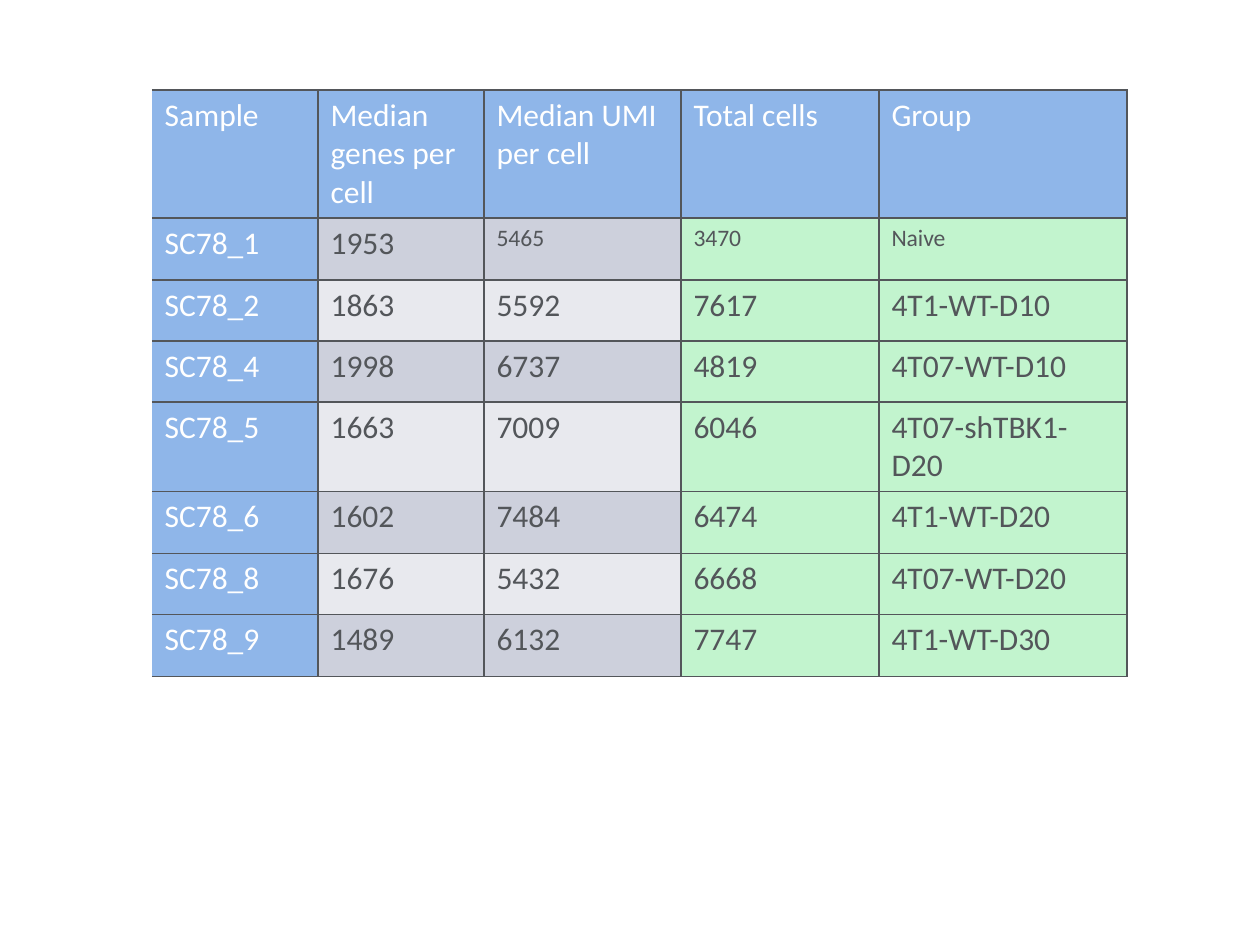
from lxml import etree
from pptx import Presentation
from pptx import util as u
from pptx.dml.color import RGBColor
from pptx.oxml import ns

COLORS = {
    "blue": "8FB6E9",
    "green": "C2F4CE",
    "dark_band": "CDD0DC",
    "light_band": "E8E9EE",
    "ink": "53565A",
    "white": "FFFFFF",
}
SAMPLES = [
    ("Sample", "Median genes per cell", "Median UMI per cell", "Total cells", "Group"),
    ("SC78_1", "1953", "5465", "3470", "Naive"),
    ("SC78_2", "1863", "5592", "7617", "4T1-WT-D10"),
    ("SC78_4", "1998", "6737", "4819", "4T07-WT-D10"),
    ("SC78_5", "1663", "7009", "6046", "4T07-shTBK1-D20"),
    ("SC78_6", "1602", "7484", "6474", "4T1-WT-D20"),
    ("SC78_8", "1676", "5432", "6668", "4T07-WT-D20"),
    ("SC78_9", "1489", "6132", "7747", "4T1-WT-D30"),
]
COLUMN_WIDTHS = [166, 166, 197, 198, 248]
ROW_HEIGHTS = [128, 62, 61, 61, 89, 62, 61, 62]


def px(length):
    return u.Emu(round(length * 914400 / 126))


class SlideBuilder:
    """Hold the style and the current slide, and draw its elements."""

    def __init__(self, deck, font="Calibri", size=18, small=13.5):
        self.font, self.size, self.small = font, size, small
        self.slide = deck.slides.add_slide(deck.slide_layouts[6])

    def border(self, cell, side, visible):
        props = cell._tc.get_or_add_tcPr()
        line = etree.SubElement(props, ns.qn(f"a:ln{side}"), w=str(u.Pt(1)))
        if visible:
            fill = etree.SubElement(line, ns.qn("a:solidFill"))
            etree.SubElement(fill, ns.qn("a:srgbClr"), val=COLORS["ink"])
        else:
            etree.SubElement(line, ns.qn("a:noFill"))

    def cell(self, cell, words, fill, color, size):
        for side in "LRTB":
            self.border(cell, side, side != "L" or cell._tc.col_idx > 0)
        cell.fill.solid()
        cell.fill.fore_color.rgb = RGBColor.from_string(COLORS[fill])
        cell.text_frame.text = words
        span = cell.text_frame.paragraphs[0].runs[0]
        span.font.name = self.font
        span.font.size = u.Pt(size)
        span.font.color.rgb = RGBColor.from_string(COLORS[color])

    def table(self, left, top, widths, heights, rows):
        frame = self.slide.shapes.add_table(
            len(rows), len(widths), px(left), px(top), px(sum(widths)), px(sum(heights))
        )
        table = frame.table
        table.first_row = table.horz_banding = False
        for column, width in zip(table.columns, widths):
            column.width = px(width)
        for row, height in zip(table.rows, heights):
            row.height = px(height)
        for r, row in enumerate(rows):
            band = "dark_band" if r % 2 else "light_band"
            for c, words in enumerate(row):
                heading = r == 0 or c == 0
                fill = "blue" if heading else "green" if c >= 3 else band
                color = "white" if heading else "ink"
                size = self.small if r == 1 and c >= 2 else self.size
                self.cell(table.cell(r, c), words, fill, color, size)


def main():
    deck = Presentation()
    deck.slide_width, deck.slide_height = px(1260), px(945)
    builder = SlideBuilder(deck)
    builder.table(152, 90, COLUMN_WIDTHS, ROW_HEIGHTS, SAMPLES)
    deck.save("out.pptx")


if __name__ == "__main__":
    main()
